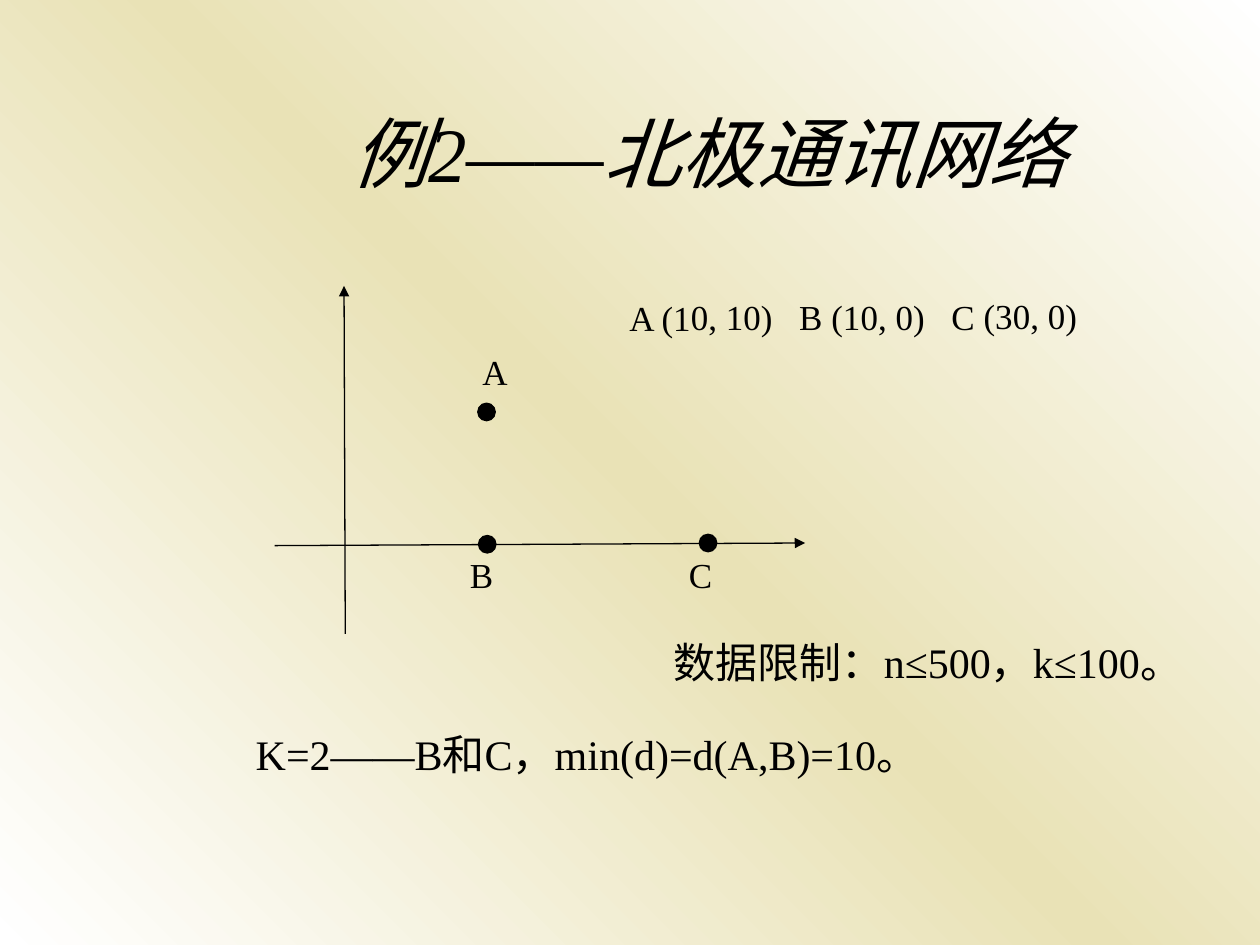
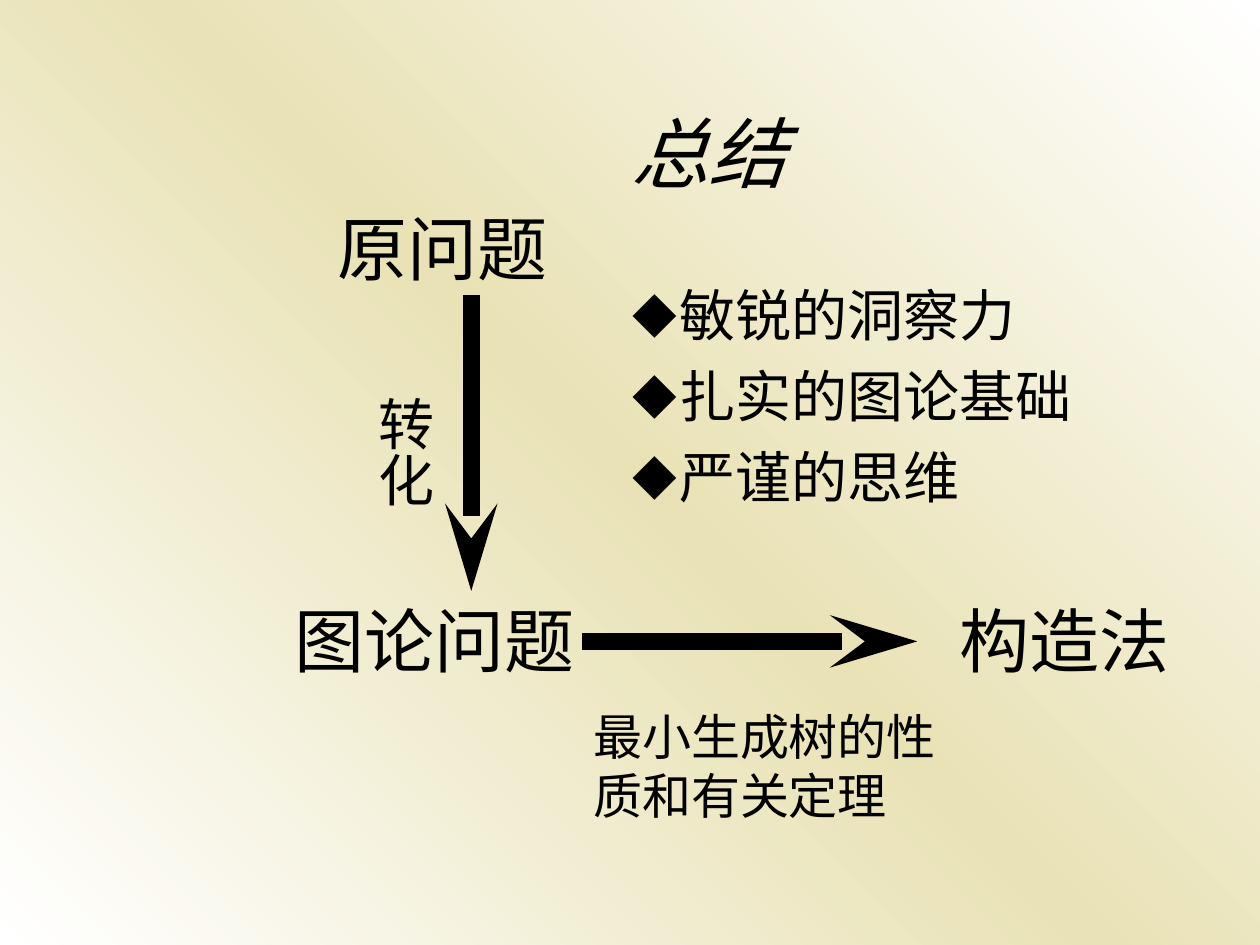
import copy
from dataclasses import dataclass

import pptx
import pptx.dml.color
import pptx.enum.shapes
import pptx.enum.text
import pptx.oxml
import pptx.oxml.ns
import pptx.util
from lxml import etree

Pt = pptx.util.Pt
RGB = pptx.dml.color.RGBColor
qn = pptx.oxml.ns.qn
AutoSize = pptx.enum.text.MSO_AUTO_SIZE


@dataclass(frozen=True)
class Theme:
    ink: RGB = RGB(0, 0, 0)
    edge: RGB = RGB(0xFF, 0xFF, 0xFF)
    band: RGB = RGB(0xE9, 0xE2, 0xB6)
    serif: str = "Times New Roman"
    sans: str = "Noto Sans CJK JP"
    title: int = 44
    stage: int = 40
    skill: int = 32
    method: int = 28
    remark: int = 24
    label: int = 20
    tilt: float = 359.8
    axis: float = 0.75
    arrow: float = 10


THEME = Theme()
TITLE_BOX = (108, 41.5, 594, 90)

NETWORK = {
    "title": "例2——北极通讯网络",
    "axes": [((157, 311.8), (460.1, 310.3)), ((197.3, 362.2), (196.6, 163.4))],
    "stations": [
        ("A", (278, 235.4), (268.6, 196.6)),
        ("B", (278.4, 311), (261.4, 312.5)),
        ("C", (404.6, 310.3), (386.6, 312.5)),
    ],
    "coordinates": ["A (10, 10)", "B (10, 0)", "C (30, 0)"],
    "remarks": [
        ("K=2——B和C，min(d)=d(A,B)=10。", (139, 412.6, 527, 36)),
        ("数据限制：n≤500，k≤100。", (378, 360, 318.2, 36)),
    ],
}
COORDINATES_BOX = (352.6, 165.2, 313.2, 43.9)
COORDINATE_TABS = (97, 184)
STATION_SIZE = 10
STATION_LABEL = (86.4, 43.9)

SUMMARY = {
    "title": "总结",
    "stages": [
        ("原问题", (185.8, 113.8, 138.2, 55.4)),
        ("图论问题", (161.3, 337.7, 185.8, 55.4)),
        ("构造法", (541.4, 337.7, 148.3, 55.4)),
    ],
    "arrows": [((269.3, 173.5), (269.3, 337.7)), ((337.7, 366.5), (524.2, 366.5))],
    "skills": ["敏锐的洞察力", "扎实的图论基础", "严谨的思维"],
    "conversion": "转化",
    "method": "最小生成树的性质和有关定理",
}
SKILLS_BOX = (354.2, 156.6, 288, 167.8)
CONVERSION_BOX = (201.6, 219, 52.6, 102.2)
METHOD_BOX = (331.9, 400.3, 215.3, 74.9)


def points(values):
    return [Pt(value) for value in values]


def style(paragraph, size, face=THEME.serif):
    paragraph.font.size = Pt(size)
    paragraph.font.name = face
    paragraph.font.color.rgb = THEME.ink


def add_text(slide, lines, box, size, face=THEME.serif, grow=True):
    label = slide.shapes.add_textbox(*points(box))
    frame = label.text_frame
    frame.text = "\n".join(lines)
    frame.word_wrap = True
    frame.auto_size = AutoSize.SHAPE_TO_FIT_TEXT if grow else AutoSize.NONE
    for paragraph in frame.paragraphs:
        style(paragraph, size, face)
    return label


def add_tilted(slide, text, box):
    label = add_text(slide, [text], box, THEME.label, grow=False)
    label.rotation = THEME.tilt
    return label


def add_arrow(slide, start, end, width, head, length="med", cap="flat"):
    arrow = slide.shapes.add_connector(
        pptx.enum.shapes.MSO_CONNECTOR.STRAIGHT, *points(start + end))
    arrow.line.color.rgb = THEME.ink
    arrow.line.width = Pt(width)
    outline = arrow.line._get_or_add_ln()
    outline.set("cap", cap)
    etree.SubElement(outline, qn("a:tailEnd"), type=head, len=length)
    etree.SubElement(arrow._element.spPr, qn("a:effectLst"))


def add_station(slide, center):
    left, top = (value - STATION_SIZE / 2 for value in center)
    dot = slide.shapes.add_shape(
        pptx.enum.shapes.MSO_SHAPE.OVAL,
        *points((left, top, STATION_SIZE, STATION_SIZE)))
    dot.shadow.inherit = False
    dot.fill.solid()
    dot.fill.fore_color.rgb = THEME.ink
    dot.line.color.rgb = THEME.ink
    dot.line.width = Pt(THEME.axis)


def set_tabs(paragraph, stops):
    tabs = etree.SubElement(paragraph._p.get_or_add_pPr(), qn("a:tabLst"))
    for stop in stops:
        etree.SubElement(tabs, qn("a:tab"), pos=str(Pt(stop)), algn="l")


def set_bullet(paragraph, mark, indent, percent):
    properties = paragraph._p.get_or_add_pPr()
    properties.set("marL", str(Pt(indent)))
    properties.set("indent", str(-Pt(indent)))
    etree.SubElement(properties, qn("a:buSzPct"), val=str(percent * 1000))
    etree.SubElement(properties, qn("a:buFont"), typeface=THEME.sans)
    etree.SubElement(properties, qn("a:buChar"), char=mark)


def paint_background(master):
    fill = master.background.fill
    fill.gradient()
    fill.gradient_angle = 225
    first = fill.gradient_stops[0]._gs
    first.addnext(copy.deepcopy(first))
    colours = (THEME.edge, THEME.band, THEME.edge)
    for stop, colour, position in zip(fill.gradient_stops, colours, (0, 0.5, 1)):
        stop.color.rgb = colour
        stop.position = position


def add_titled_slide(deck, text):
    slide = deck.slides.add_slide(deck.slide_layouts[5])
    title = slide.shapes.title
    title.left, title.top, title.width, title.height = points(TITLE_BOX)
    frame = title.text_frame
    frame.text = text
    frame.word_wrap = True
    frame.auto_size = AutoSize.NONE
    frame.vertical_anchor = pptx.enum.text.MSO_ANCHOR.MIDDLE
    heading = frame.paragraphs[0]
    heading.alignment = pptx.enum.text.PP_ALIGN.CENTER
    style(heading, THEME.title)
    heading.font.italic = True
    return slide


def build_network(deck):
    slide = add_titled_slide(deck, NETWORK["title"])
    for start, end in NETWORK["axes"]:
        add_arrow(slide, start, end, THEME.axis, "triangle")
    for name, center, corner in NETWORK["stations"]:
        add_station(slide, center)
        add_tilted(slide, name, corner + STATION_LABEL)
    coordinates = add_tilted(slide, "\t".join(NETWORK["coordinates"]), COORDINATES_BOX)
    row = coordinates.text_frame.paragraphs[0]
    row._p.get_or_add_pPr().clear()
    set_tabs(row, COORDINATE_TABS)
    style(row, THEME.label)
    for text, box in NETWORK["remarks"]:
        add_text(slide, [text], box, THEME.remark)


def build_summary(deck):
    slide = add_titled_slide(deck, SUMMARY["title"])
    for text, box in SUMMARY["stages"]:
        add_text(slide, [text], box, THEME.stage)
    for start, end in SUMMARY["arrows"]:
        add_arrow(slide, start, end, THEME.arrow, "stealth", "lg", "sq")

    skills = slide.shapes.add_textbox(*points(SKILLS_BOX)).text_frame
    skills.text = "\n".join(SUMMARY["skills"])
    skills.word_wrap = True
    for number, skill in enumerate(skills.paragraphs):
        set_bullet(skill, "◆", 27, 80)
        style(skill, THEME.skill, THEME.sans)
        if number:
            skill.space_before = Pt(8)

    conversion = add_text(slide, [SUMMARY["conversion"]], CONVERSION_BOX, THEME.skill)
    frame = conversion.text_frame
    frame._txBody.bodyPr.set("vert", "eaVert")
    frame.margin_left = frame.margin_right = Pt(3.6)
    frame.margin_top = frame.margin_bottom = Pt(7.2)
    add_text(slide, [SUMMARY["method"]], METHOD_BOX, THEME.method)


def main():
    deck = pptx.Presentation()
    deck.slide_width, deck.slide_height = Pt(720), Pt(540)
    paint_background(deck.slide_master)
    build_network(deck)
    build_summary(deck)
    deck.save("out.pptx")


if __name__ == "__main__":
    main()
